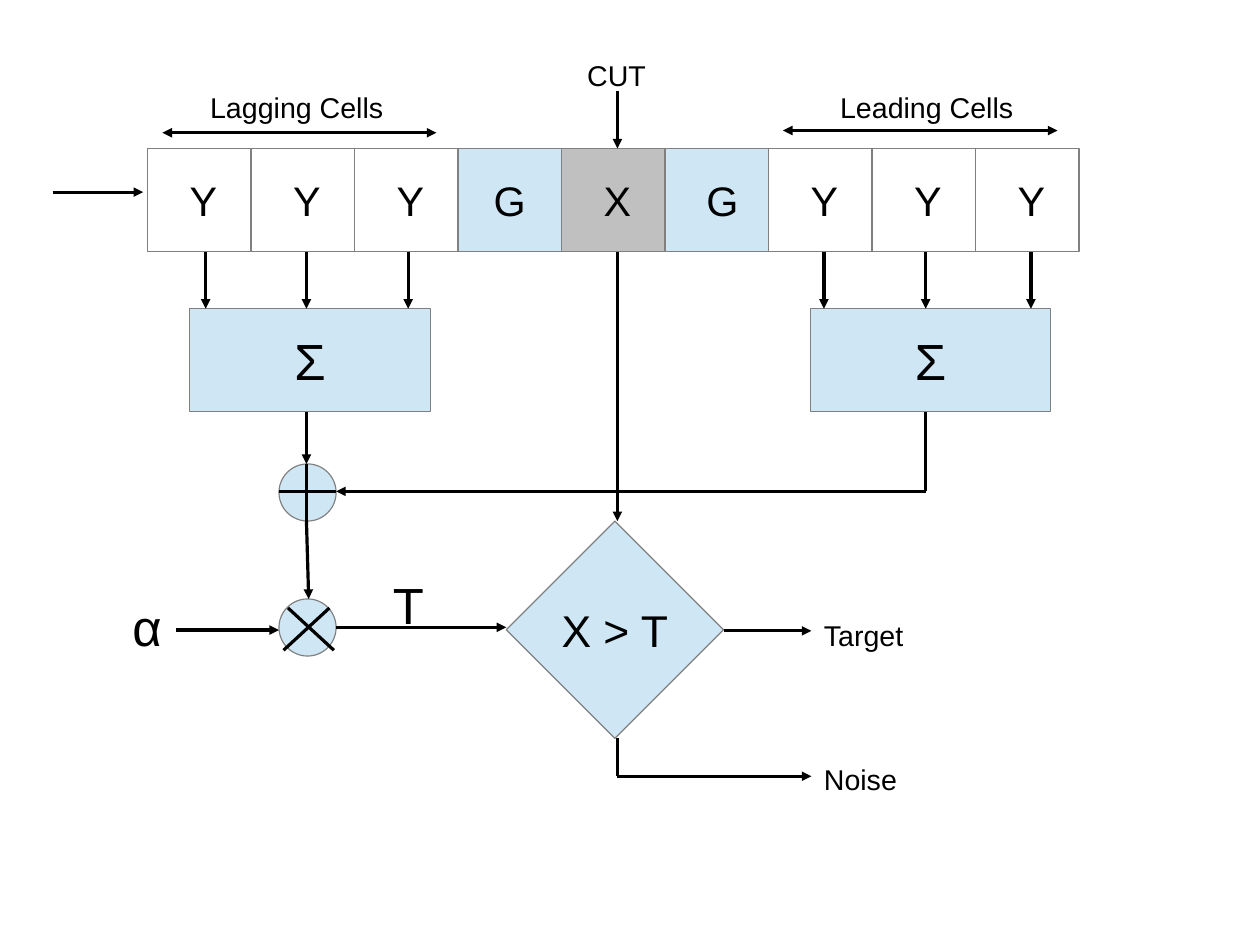
"""Build a slide with the block diagram of a cell-averaging CFAR detector."""
from dataclasses import dataclass

from lxml import etree
from pptx import Presentation
from pptx.dml.color import RGBColor
from pptx.enum.shapes import MSO_CONNECTOR, MSO_SHAPE
from pptx.enum.text import MSO_ANCHOR, PP_ALIGN
from pptx.oxml.ns import qn
from pptx.util import Cm, Pt

RECTANGLE = MSO_SHAPE.RECTANGLE
ELLIPSE = MSO_SHAPE.OVAL
DIAMOND = MSO_SHAPE.DIAMOND
STRAIGHT = MSO_CONNECTOR.STRAIGHT
MIDDLE = MSO_ANCHOR.MIDDLE
TOP = MSO_ANCHOR.TOP
CENTER = PP_ALIGN.CENTER
LEFT = PP_ALIGN.LEFT

FONT = "Arial"
BLACK, GRAY, SILVER, WHITE, BLUE = "000000", "808080", "C0C0C0", "FFFFFF", "CFE7F5"

CELL_LEFT, CELL_TOP, CELL_SIZE = 3.28, 3.3, 2.3
CELL_BOTTOM = CELL_TOP + CELL_SIZE
SUM_TOP, SUM_WIDTH, SUM_HEIGHT = 6.86, 5.34, 2.29
SUM_BOTTOM = SUM_TOP + SUM_HEIGHT
CIRCLE_LEFT, CIRCLE_SIZE = 6.2, 1.27
CIRCLE_RIGHT = CIRCLE_LEFT + CIRCLE_SIZE
ADDER_TOP, MULTIPLIER_TOP = 10.31, 13.31
ADDER_BOTTOM, ADDER_MIDDLE = ADDER_TOP + CIRCLE_SIZE, 10.92
DIAMOND_LEFT, DIAMOND_TOP, DIAMOND_SIZE = 11.25, 11.58, 4.83
DIAMOND_BOTTOM = DIAMOND_TOP + DIAMOND_SIZE
LAGGING_X, CUT_X, LEADING_X = 6.81, 13.72, 20.57
RESULT_X, NOISE_Y = 18.03, 17.25


@dataclass(frozen=True)
class Block:
    left: float
    top: float
    width: float
    height: float
    text: str = ""
    size: int = 18
    fill: str = BLUE
    kind: MSO_SHAPE = RECTANGLE
    shift: float = 0


@dataclass(frozen=True)
class Label:
    text: str
    left: float
    top: float
    width: float
    height: float = 0.97
    size: int = 18


@dataclass(frozen=True)
class Line:
    start_x: float
    start_y: float
    end_x: float
    end_y: float
    ends: tuple[str, ...] = ("tailEnd",)


CELL_FILLS = {"Y": WHITE, "G": BLUE, "X": SILVER}
CELL_SHIFTS = {"Y": 0.18, "G": 0, "X": 0.18}
CELLS = [
    Block(CELL_LEFT + index * CELL_SIZE, CELL_TOP, CELL_SIZE, CELL_SIZE, letter, 26,
          CELL_FILLS[letter], shift=0.25 if index == 5 else CELL_SHIFTS[letter])
    for index, letter in enumerate("YYYGXGYYY")
]
SUMS = [Block(left, SUM_TOP, SUM_WIDTH, SUM_HEIGHT, "Σ", 32) for left in (4.22, 18.01)]
CIRCLES = [
    Block(CIRCLE_LEFT, top, CIRCLE_SIZE, CIRCLE_SIZE, kind=ELLIPSE)
    for top in (ADDER_TOP, MULTIPLIER_TOP)
]
DECISION = Block(DIAMOND_LEFT, DIAMOND_TOP, DIAMOND_SIZE, DIAMOND_SIZE, "X > T", 28, kind=DIAMOND)

LABELS = [
    Label("Lagging Cells", 4.42, 1.88, 6.1),
    Label("Leading Cells", 18.42, 1.88, 6.1),
    Label("CUT", 12.8, 1.17, 2.29),
    Label("Target", 18.06, 13.61, 5.08),
    Label("Noise", 18.06, 16.81, 5.08),
    Label("T", 8.48, 12.62, 1.52, 1.52, 32),
    Label("α", 2.69, 13.11, 1.27, 1.52, 32),
]

BOTH_ENDS = ("headEnd", "tailEnd")
CELL_ARROWS = [
    Line(x, CELL_BOTTOM, x, SUM_TOP)
    for x in (4.57, LAGGING_X, 9.07, 18.31, LEADING_X, 22.91)
]
FLOW_LINES = [
    Line(1.17, 4.27, 3.18, 4.27),
    Line(9.7, 2.95, 3.61, 2.95, BOTH_ENDS),
    Line(23.5, 2.9, 17.4, 2.9, BOTH_ENDS),
    Line(CUT_X, 2.03, CUT_X, CELL_TOP),
    Line(CUT_X, CELL_BOTTOM, CUT_X, DIAMOND_TOP),
    Line(DIAMOND_LEFT + DIAMOND_SIZE, 14.02, RESULT_X, 14.02),
    Line(CUT_X, DIAMOND_BOTTOM, CUT_X, NOISE_Y, ()),
    Line(CUT_X, NOISE_Y, RESULT_X, NOISE_Y),
    Line(LAGGING_X, SUM_BOTTOM, LAGGING_X, ADDER_TOP),
    Line(LEADING_X, SUM_BOTTOM, LEADING_X, ADDER_MIDDLE, ()),
    Line(LEADING_X, ADDER_MIDDLE, CIRCLE_RIGHT, ADDER_MIDDLE),
    Line(LAGGING_X, ADDER_BOTTOM, 6.86, MULTIPLIER_TOP),
    Line(3.91, 14, CIRCLE_LEFT, 14),
    Line(CIRCLE_RIGHT, 13.94, DIAMOND_LEFT, 13.94),
]
OPERATOR_STROKES = [
    Line(LAGGING_X, ADDER_TOP, LAGGING_X, ADDER_BOTTOM, ()),
    Line(CIRCLE_LEFT, ADDER_MIDDLE, CIRCLE_RIGHT, ADDER_MIDDLE, ()),
    Line(6.4, 13.51, 7.42, 14.45, ()),
    Line(7.32, 13.51, 6.3, 14.45, ()),
]


def color(value: str) -> RGBColor:
    return RGBColor.from_string(value)


def write_text(shape, text: str, *, size: int, align=LEFT, anchor=TOP,
               wrap: bool = True, shift: float = 0) -> None:
    frame = shape.text_frame
    frame.word_wrap = wrap
    frame.vertical_anchor = anchor
    frame.margin_left = Cm(0.25 + shift)
    frame.margin_right = Cm(0.25)
    paragraph = frame.paragraphs[0]
    paragraph.alignment = align
    run = paragraph.add_run()
    run.text = text
    run.font.name = FONT
    run.font.size = Pt(size)
    run.font.color.rgb = color(BLACK)


def draw_block(slide, block: Block) -> None:
    shape = slide.shapes.add_shape(
        block.kind, Cm(block.left), Cm(block.top), Cm(block.width), Cm(block.height))
    shape.shadow.inherit = False
    shape.fill.solid()
    shape.fill.fore_color.rgb = color(block.fill)
    shape.line.color.rgb = color(GRAY)
    shape.line.width = Pt(0)
    if block.text:
        write_text(shape, block.text, size=block.size, align=CENTER, anchor=MIDDLE,
                   wrap=False, shift=block.shift)


def draw_label(slide, label: Label) -> None:
    box = slide.shapes.add_textbox(
        Cm(label.left), Cm(label.top), Cm(label.width), Cm(label.height))
    write_text(box, label.text, size=label.size)


def draw_line(slide, line: Line) -> None:
    connector = slide.shapes.add_connector(
        STRAIGHT, Cm(line.start_x), Cm(line.start_y), Cm(line.end_x), Cm(line.end_y))
    connector.line.color.rgb = color(BLACK)
    connector.line.width = Pt(0)
    for end in line.ends:
        etree.SubElement(connector.get_or_add_ln(), qn(f"a:{end}"), type="triangle")
    etree.SubElement(connector.element.spPr, qn("a:effectLst"))


def main() -> None:
    presentation = Presentation()
    presentation.slide_width = Cm(28)
    presentation.slide_height = Cm(21)
    slide = presentation.slides.add_slide(presentation.slide_layouts[6])
    for block in [*CELLS, *SUMS, *CIRCLES, DECISION]:
        draw_block(slide, block)
    for line in [*CELL_ARROWS, *FLOW_LINES, *OPERATOR_STROKES]:
        draw_line(slide, line)
    for label in LABELS:
        draw_label(slide, label)
    presentation.save("out.pptx")


if __name__ == "__main__":
    main()
